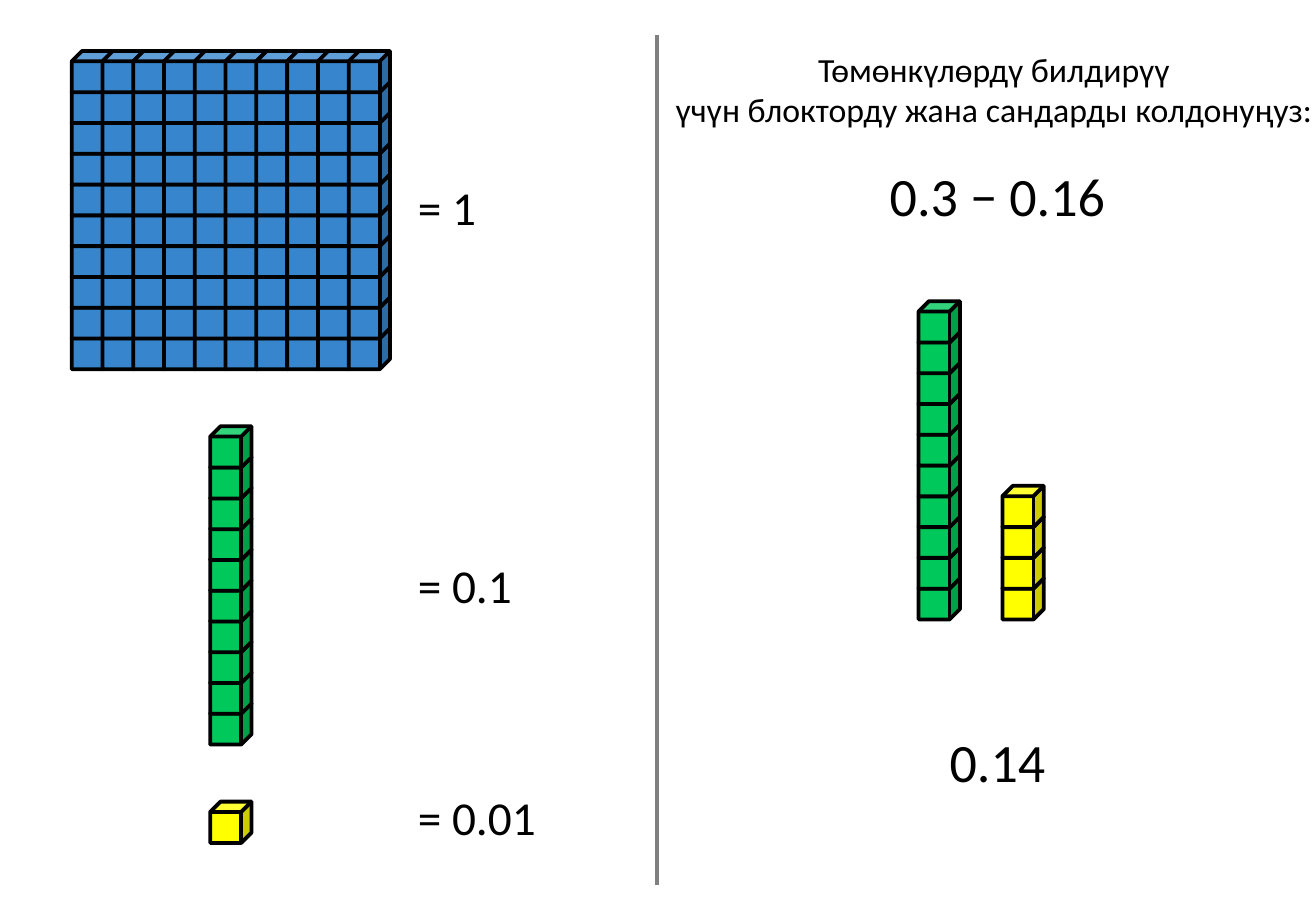
from pptx import Presentation
from pptx.dml.color import RGBColor
from pptx.enum.shapes import MSO_CONNECTOR, MSO_SHAPE
from pptx.enum.text import MSO_ANCHOR, MSO_AUTO_SIZE, PP_ALIGN
from pptx.oxml.ns import qn
from pptx.util import Inches, Pt
from lxml import etree

CUBE = MSO_SHAPE.CUBE
STRAIGHT = MSO_CONNECTOR.STRAIGHT
TOP = MSO_ANCHOR.TOP
FIT = MSO_AUTO_SIZE.SHAPE_TO_FIT_TEXT
LEFT, CENTER = PP_ALIGN.LEFT, PP_ALIGN.CENTER

COLORS = {
    "whole": "3786CD",
    "tenth": "00C85A",
    "cent": "FFFF00",
    "ink": "000000",
    "rule": "808080",
}
SIDE = 0.34
STEP = 2.28 / 9  # ten cubes span nine steps


def color(name):
    return RGBColor.from_string(COLORS[name])


def stack(slide, name, left, base, cols=1, rows=1):
    """Group cubes upward from base, the top of the lowest cube."""
    group = slide.shapes.add_group_shape()
    for col in range(cols):
        for row in range(rows):
            cube = group.shapes.add_shape(
                CUBE, Inches(left + col * STEP), Inches(base - row * STEP),
                Inches(SIDE), Inches(SIDE))
            cube.shadow.inherit = False
            cube.fill.solid()
            cube.fill.fore_color.rgb = color(name)
            cube.line.color.rgb = color("ink")
            cube.line.width = Pt(2.25)


def write(shape, lines, size, align):
    frame = shape.text_frame
    frame.text = "\n".join(lines)
    settings = {"word_wrap": False, "auto_size": FIT, "vertical_anchor": TOP}
    for key, value in settings.items():
        setattr(frame, key, value)
    font = {"name": "Calibri", "size": Pt(size), "bold": False}
    for para in frame.paragraphs:
        para.alignment = align
        for key, value in font.items():
            setattr(para.font, key, value)
        para.font.color.rgb = color("ink")


def label(slide, text, box, size, align=LEFT):
    shape = slide.shapes.add_textbox(*map(Inches, box))
    write(shape, [text], size, align)


def heading(slide, lines, box):
    title = slide.shapes.title
    for key, value in zip(("left", "top", "width", "height"), box):
        setattr(title, key, Inches(value))
    write(title, lines, 20, CENTER)


def divider(slide, x, top, bottom):
    line = slide.shapes.add_connector(
        STRAIGHT, Inches(x), Inches(top), Inches(x), Inches(bottom))
    line.line.color.rgb = color("rule")
    line.line.width = Pt(2.25)
    etree.SubElement(line.line._get_or_add_ln().getparent(), qn("a:effectLst"))


def main():
    deck = Presentation()
    deck.slide_width, deck.slide_height = Inches(10.83), Inches(7.5)
    slide = deck.slides.add_slide(deck.slide_layouts[5])

    heading(slide, ["Төмөнкүлөрдү билдирүү",
                    "үчүн блокторду жана сандарды колдонуңуз:"],
            (5.44, 0.35, 5.48, 0.77))
    divider(slide, 5.41, 0.29, 7.29)

    stack(slide, "whole", 0.59, 2.7, cols=10, rows=10)
    stack(slide, "tenth", 1.73, 5.79, rows=10)
    stack(slide, "cent", 1.73, 6.6)
    label(slide, "= 1", (3.34, 1.42, 0.69, 0.57), 28)
    label(slide, "= 0.1", (3.34, 4.53, 0.99, 0.57), 28)
    label(slide, "= 0.01", (3.34, 6.44, 1.19, 0.57), 28)

    label(slide, "0.3 − 0.16", (7.21, 1.29, 2, 0.64), 32, CENTER)
    stack(slide, "tenth", 7.56, 4.76, rows=10)
    stack(slide, "cent", 8.25, 4.76, rows=4)
    label(slide, "0.14", (7.71, 5.95, 1, 0.64), 32, CENTER)

    deck.save("out.pptx")


if __name__ == "__main__":
    main()
